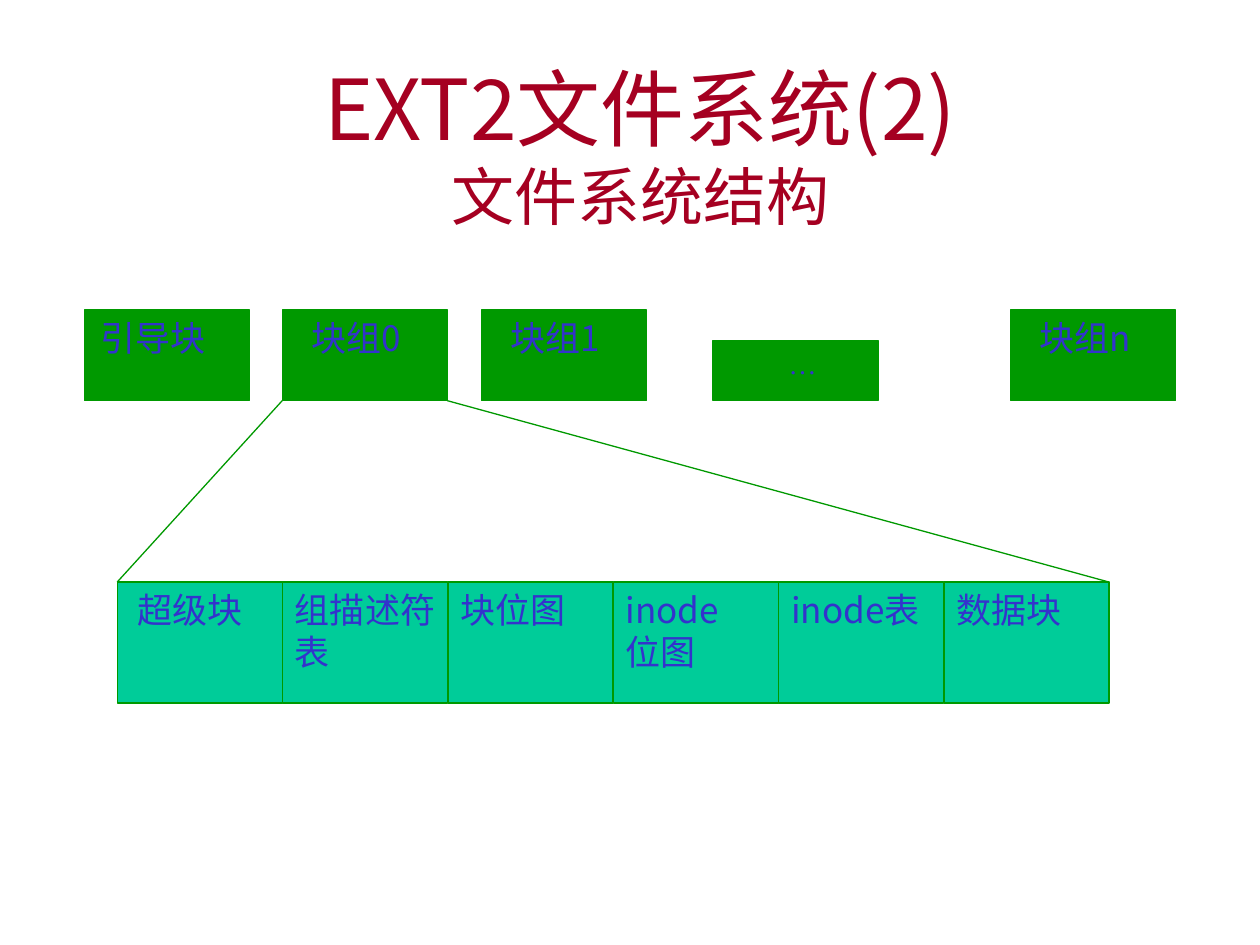
from pptx import Presentation
from pptx.dml.color import RGBColor
from pptx.enum.shapes import MSO_CONNECTOR as CONNECTOR, MSO_SHAPE as SHAPE
from pptx.enum.text import MSO_ANCHOR as ANCHOR, PP_ALIGN as ALIGN
from pptx.oxml.ns import qn
from pptx.util import Inches, Pt
from lxml import etree

CJK_FONT = "Noto Sans CJK JP"
RED, BLUE, GREEN, TEAL = "A50021", "3333CC", "009900", "00CC99"
BLOCK_WIDTH = 1.31


def color(hex_value):
    return RGBColor.from_string(hex_value)


def add_text(paragraph, text, size=20, font=CJK_FONT, fill=BLUE, align=ALIGN.LEFT):
    paragraph.alignment = align
    run = paragraph.add_run()
    run.text = text
    run.font.size = Pt(size)
    run.font.color.rgb = color(fill)
    run.font.name = font
    east_asian = etree.SubElement(run.font._element, qn("a:ea"))
    east_asian.set("typeface", font)


def add_title(slide, left, top, width, height):
    title = slide.shapes.title
    title.left, title.top = Inches(left), Inches(top)
    title.width, title.height = Inches(width), Inches(height)
    frame = title.text_frame
    frame.vertical_anchor = ANCHOR.MIDDLE
    frame.margin_top = frame.margin_bottom = 0
    heading = frame.paragraphs[0]
    heading.line_spacing = 1.0
    add_text(heading, "EXT2文件系统(2)", size=48, fill=RED, align=ALIGN.CENTER)
    heading.add_line_break()
    add_text(heading, "文件系统结构", size=36, fill=RED, align=ALIGN.CENTER)


def add_block(slide, lines, left, top, height, fill, indent=0, **text_format):
    block = slide.shapes.add_shape(SHAPE.RECTANGLE, Inches(left), Inches(top),
                                   Inches(BLOCK_WIDTH), Inches(height))
    block.shadow.inherit = False
    block.fill.solid()
    block.fill.fore_color.rgb = color(fill)
    block.line.color.rgb = color(GREEN)
    block.line.width = Pt(0.75)
    frame = block.text_frame
    frame.word_wrap = True
    frame.vertical_anchor = ANCHOR.TOP
    frame.margin_left = Inches(0.1 + indent)
    for index, line in enumerate(lines):
        paragraph = frame.paragraphs[0] if index == 0 else frame.add_paragraph()
        add_text(paragraph, line, **text_format)
    return block


def add_disk_row(slide, top, height):
    """Boot block and block groups; returns block group 0."""
    add_block(slide, ["引导块"], 0.67, top, height, GREEN, indent=0.03)
    groups = [add_block(slide, [label], left, top, height, GREEN, indent=0.13)
              for label, left in [("块组0", 2.24), ("块组1", 3.82), ("块组n", 8.02)]]
    # Omitted groups: a lower block on the same base line
    omitted_height = 0.48
    add_block(slide, ["…"], 5.66, top + height - omitted_height, omitted_height,
              GREEN, indent=0.5, size=16, font="Times New Roman")
    return groups[0]


def add_group_row(slide, left, top, height):
    """Parts inside one block group; returns the first and last part."""
    parts = [(["超级块"], 0.06), (["组描述符表"], 0), (["块位图"], 0),
             (["inode", "位图"], 0), (["inode表"], 0), (["数据块"], 0)]
    blocks = [add_block(slide, lines, left + index * 1.3125, top, height, TEAL, indent)
              for index, (lines, indent) in enumerate(parts)]
    return blocks[0], blocks[-1]


def add_zoom_line(slide, *ends):
    line = slide.shapes.add_connector(CONNECTOR.STRAIGHT, *ends)
    line.line.color.rgb = color(GREEN)
    line.line.width = Pt(0.75)
    etree.SubElement(line._element.spPr, qn("a:effectLst"))


def main():
    deck = Presentation()
    deck.slide_width, deck.slide_height = Inches(10), Inches(7.5)
    slide = deck.slides.add_slide(deck.slide_layouts[5])

    add_title(slide, 0.83, 0.3, 8.5, 1.7)
    group = add_disk_row(slide, 2.46, 0.72)
    first, last = add_group_row(slide, 0.93, 4.62, 0.96)

    # Zoom from block group 0 to its parts
    base = group.top + group.height
    add_zoom_line(slide, group.left, base, first.left, first.top)
    add_zoom_line(slide, group.left + group.width, base,
                  last.left + last.width, last.top)

    deck.save("out.pptx")


if __name__ == "__main__":
    main()
